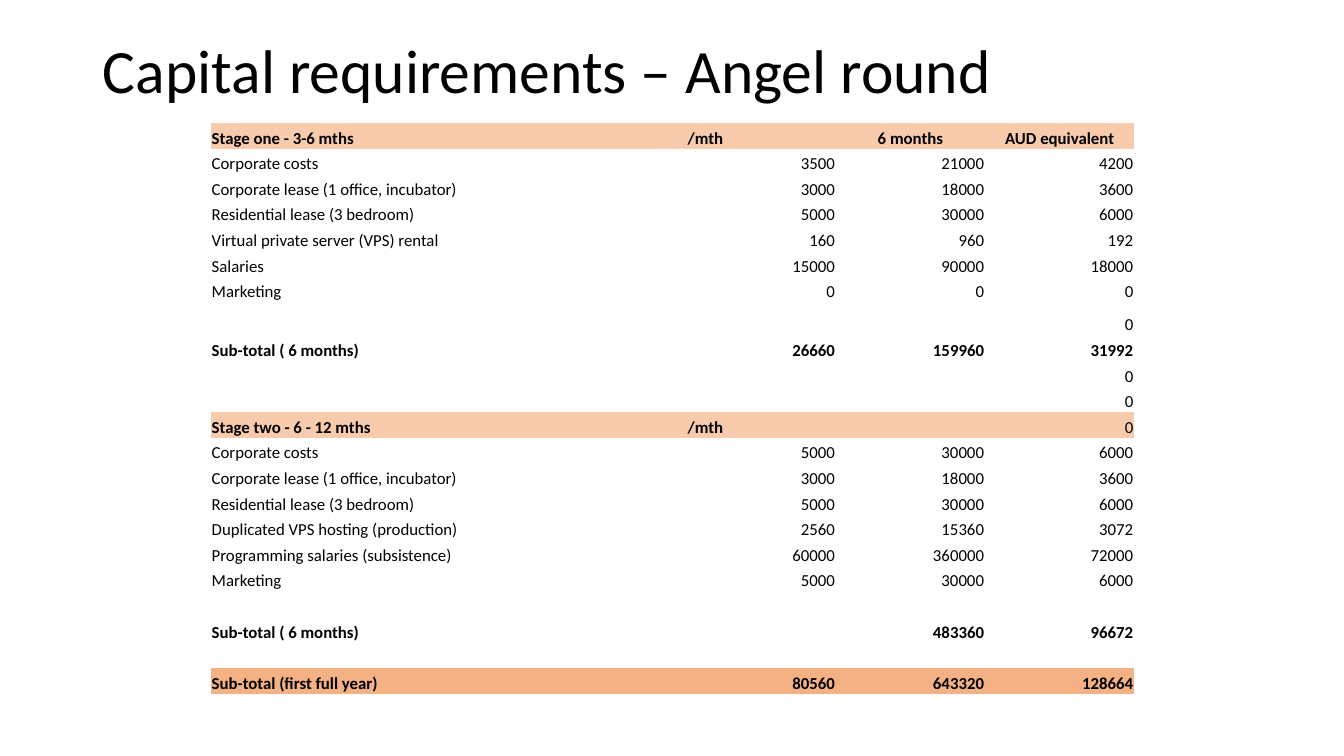
import pptx
import pptx.util
import pptx.dml.color
import pptx.enum.text
import pptx.oxml.ns
import lxml.etree

Inches = pptx.util.Inches
Align = pptx.enum.text.PP_ALIGN
Anchor = pptx.enum.text.MSO_ANCHOR

LIGHT, DARK = "F8CBAD", "F4B183"
PLAIN = "{2D5ABB26-0587-4C30-8999-92F81FD0307C}"
COSTS = [
    ("Stage one - 3-6 mths", "/mth", "6 months", "AUD equivalent"),
    ("Corporate costs", "3500", "21000", "4200"),
    ("Corporate lease (1 office, incubator)", "3000", "18000", "3600"),
    ("Residential lease (3 bedroom)", "5000", "30000", "6000"),
    ("Virtual private server (VPS) rental", "160", "960", "192"),
    ("Salaries", "15000", "90000", "18000"),
    ("Marketing", "0", "0", "0"),
    ("", "", "", "0"),
    ("Sub-total ( 6 months)", "26660", "159960", "31992"),
    ("", "", "", "0"),
    ("", "", "", "0"),
    ("Stage two - 6 - 12 mths", "/mth", "", "0"),
    ("Corporate costs", "5000", "30000", "6000"),
    ("Corporate lease (1 office, incubator)", "3000", "18000", "3600"),
    ("Residential lease (3 bedroom)", "5000", "30000", "6000"),
    ("Duplicated VPS hosting (production)", "2560", "15360", "3072"),
    ("Programming salaries (subsistence)", "60000", "360000", "72000"),
    ("Marketing", "5000", "30000", "6000"),
    ("", "", "", ""),
    ("Sub-total ( 6 months)", "", "483360", "96672"),
    ("", "", "", ""),
    ("Sub-total (first full year)", "80560", "643320", "128664"),
]


def paint(color):
    return pptx.dml.color.RGBColor.from_string(color)


def write(frame, text, font="Calibri", size=12, color="000000", bold=False,
          align=Align.LEFT, spacing=1.0):
    para = frame.paragraphs[0]
    para.alignment = align
    para.line_spacing = spacing
    if not text:
        end = lxml.etree.SubElement(para._p, pptx.oxml.ns.qn("a:endParaRPr"))
        end.set("sz", str(size * 100))
        return
    run = para.add_run()
    run.text = text
    run.font.name = font
    run.font.size = pptx.util.Pt(size)
    run.font.bold = bold
    run.font.color.rgb = paint(color)


class Deck:
    def __init__(self):
        self.show = pptx.Presentation()
        self.show.slide_width = Inches(13.33)
        self.show.slide_height = Inches(7.5)
        self.slide = self.show.slides.add_slide(self.show.slide_layouts[5])

    def title(self, text, left, top, width, height):
        shape = self.slide.shapes.title
        shape.left, shape.top = Inches(left), Inches(top)
        shape.width, shape.height = Inches(width), Inches(height)
        shape.text_frame.vertical_anchor = Anchor.MIDDLE
        write(shape.text_frame, text, size=44, spacing=0.9)

    def table(self, rows, left, top, widths, heights):
        shape = self.slide.shapes.add_table(
            len(rows), len(widths), Inches(left), Inches(top),
            Inches(sum(widths)), Inches(sum(heights)))
        grid = shape.table
        grid.first_row = grid.horz_banding = False
        grid._tbl.tblPr.find(pptx.oxml.ns.qn("a:tableStyleId")).text = PLAIN
        for column, width in zip(grid.columns, widths):
            column.width = Inches(width)
        for r, (row, height) in enumerate(zip(rows, heights)):
            grid.rows[r].height = Inches(height)
            label = row[0]
            bold = label.startswith(("Stage", "Sub-total"))
            fill = LIGHT if label.startswith("Stage") else None
            if "full year" in label:
                fill = DARK
            for c, text in enumerate(row):
                self.cell(grid.cell(r, c), text, c, fill, bold and text != "0")

    def cell(self, cell, text, place, fill, bold):
        if fill:
            cell.fill.solid()
            cell.fill.fore_color.rgb = paint(fill)
        else:
            cell.fill.background()
        cell.vertical_anchor = Anchor.BOTTOM
        cell.margin_left = cell.margin_right = cell.margin_top = Inches(0.01)
        cell.margin_bottom = 0
        if text.isdigit():
            align = Align.RIGHT
        else:
            align = Align.CENTER if place > 1 else Align.LEFT
        write(cell.text_frame, text, bold=bold, align=align)


def main():
    deck = Deck()
    deck.title("Capital requirements – Angel round", 0.92, 0, 11.5, 1.45)
    total, gap = 5.67, 0.33
    each = (total - gap) / (len(COSTS) - 1)
    heights = [each] * len(COSTS)
    heights[7] = gap
    deck.table(COSTS, 2.09, 1.22, [4.72] + [1.48] * 3, heights)
    deck.show.save("out.pptx")


if __name__ == "__main__":
    main()
